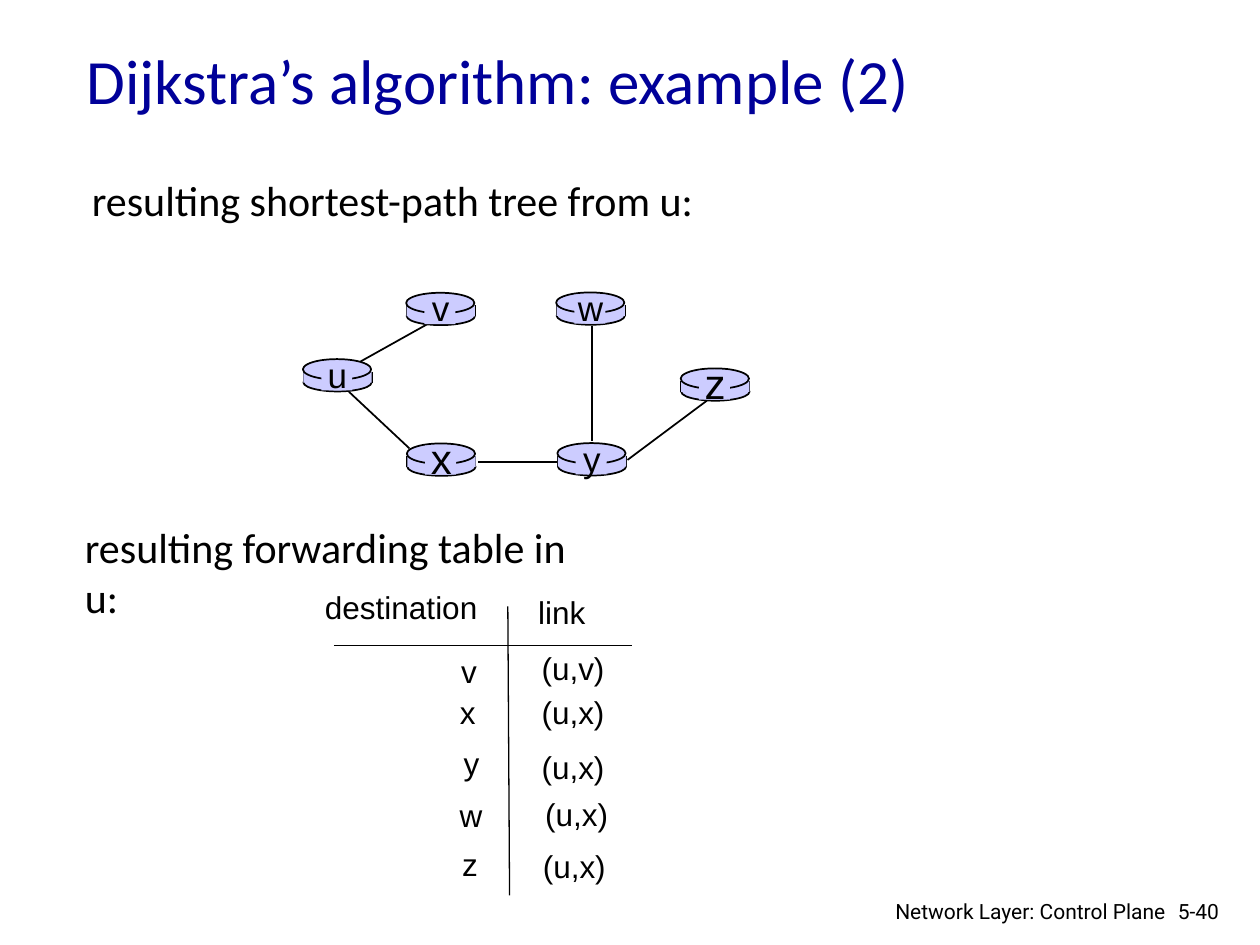
from lxml.etree import SubElement
from pptx import Presentation
from pptx.dml.color import RGBColor
from pptx.enum.shapes import MSO_CONNECTOR, MSO_SHAPE
from pptx.enum.text import MSO_ANCHOR, PP_ALIGN
from pptx.oxml.ns import qn
from pptx.util import Pt

COLORS = {"title": "000099", "ink": "000000", "router": "CCCCFF"}


def rgb(name):
    return RGBColor.from_string(COLORS[name])


def write(tf, text, size=18, font="Arial", color="ink", align=PP_ALIGN.LEFT,
          wrap=False, anchor=MSO_ANCHOR.TOP):
    tf.word_wrap = wrap
    tf.vertical_anchor = anchor
    p = tf.paragraphs[0]
    p.alignment = align
    r = p.add_run()
    r.text = text
    r.font.size = Pt(size)
    r.font.name = font
    r.font.color.rgb = rgb(color)


class Deck:
    def __init__(self, prs):
        self.s = prs.slides.add_slide(prs.slide_layouts[5])
        self.line_width = 1

    def title(self, text, x, y, w, h):
        sp = self.s.shapes.title
        sp.left, sp.top, sp.width, sp.height = Pt(x), Pt(y), Pt(w), Pt(h)
        write(sp.text_frame, text, size=36, font="Calibri", color="title",
              wrap=True, anchor=MSO_ANCHOR.MIDDLE)

    def text(self, text, x, y, w, h, **style):
        sp = self.s.shapes.add_textbox(Pt(x), Pt(y), Pt(w), Pt(h))
        write(sp.text_frame, text, **style)

    def line(self, x1, y1, x2, y2, width=None):
        sp = self.s.shapes.add_connector(
            MSO_CONNECTOR.STRAIGHT, Pt(x1), Pt(y1), Pt(x2), Pt(y2))
        sp.line.color.rgb = rgb("ink")
        sp.line.width = Pt(width or self.line_width)
        SubElement(sp._element.spPr, qn("a:effectLst"))

    def shape(self, kind, x, y, w, h, outline=False):
        sp = self.s.shapes.add_shape(kind, Pt(x), Pt(y), Pt(w), Pt(h))
        sp.shadow.inherit = False
        sp.fill.solid()
        sp.fill.fore_color.rgb = rgb("router")
        if outline:
            sp.line.color.rgb = rgb("ink")
            sp.line.width = Pt(self.line_width)
        else:
            sp.line.fill.background()

    def router(self, label, x, y, size):
        left, side = x + 0.3, y + 7.2
        self.shape(MSO_SHAPE.OVAL, left, y + 8.2, 39, 10.3, outline=True)
        for edge in (left, left + 39):
            self.line(edge, side, edge, side + 6.3)
        self.shape(MSO_SHAPE.RECTANGLE, left, side, 39, 6.3)
        self.shape(MSO_SHAPE.OVAL, x, y, 39, 11.7, outline=True)
        self.shape(MSO_SHAPE.RECTANGLE, x + 10.5, y + 1.3, 17.7, 16.6)
        h = size * 1.5
        self.text(label, x + 4.7, y + 8.1 - h / 2, 30, h, size=size,
                  align=PP_ALIGN.CENTER)


def main():
    prs = Presentation()
    prs.slide_width, prs.slide_height = Pt(720), Pt(540)
    deck = Deck(prs)
    deck.title("Dijkstra’s algorithm: example (2)", 42.2, 11.8, 612, 67)

    tree_edges = [
        (206, 206.6, 248.4, 182.9),
        (338.4, 186.5, 338.4, 252),
        (358.6, 262.8, 403.9, 229),
        (319, 264.2, 272.9, 264.2),
        (234, 256.3, 199.4, 223.9),
    ]
    for edge in tree_edges:
        deck.line(*edge)

    routers = [
        ("u", 173.1, 205.2, 20),
        ("x", 232.5, 253.4, 24),
        ("v", 232.1, 167.3, 20),
        ("w", 317.8, 167.1, 20),
        ("y", 318.5, 253.2, 20),
        ("z", 389, 210.5, 24),
    ]
    for router in routers:
        deck.router(*router)

    deck.text("resulting shortest-path tree from u:", 45.4, 96.1, 360, 36,
              size=24, font="Calibri")
    deck.text("resulting forwarding table in u:", 41.4, 294.5, 306, 65,
              size=24, font="Calibri", wrap=True)

    deck.line(290.2, 346.5, 291.2, 511.6, width=0.75)
    deck.line(190.8, 368.9, 361.4, 368.9, width=0.75)
    table_rows = [
        ("destination", 178.6, 332.6, "link", 300.4, 335.5),
        ("v", 256.5, 369.2, "(u,v)", 302.4, 367.2),
        ("x", 255.8, 392.4, "(u,x)", 302.4, 392.4),
        ("y", 257.8, 421.7, "(u,x)", 302.4, 424.1),
        ("w", 255.6, 451.4, "(u,x)", 304.4, 450.7),
        ("z", 257, 479.5, "(u,x)", 303.1, 480.2),
    ]
    for dest, dest_x, dest_y, link, link_x, link_y in table_rows:
        dest_w = 104 if dest == "destination" else 28
        deck.text(dest, dest_x, dest_y, dest_w, 29)
        deck.text(link, link_x, link_y, 56, 29)

    deck.text("5-40", 666, 509.8, 43.2, 21.6, size=12, font="Roboto", wrap=True)
    deck.text("Network Layer: Control Plane", 501.8, 509.8, 171.4, 18.7,
              size=12, font="Roboto", align=PP_ALIGN.RIGHT, wrap=True)
    prs.save("out.pptx")


if __name__ == "__main__":
    main()
